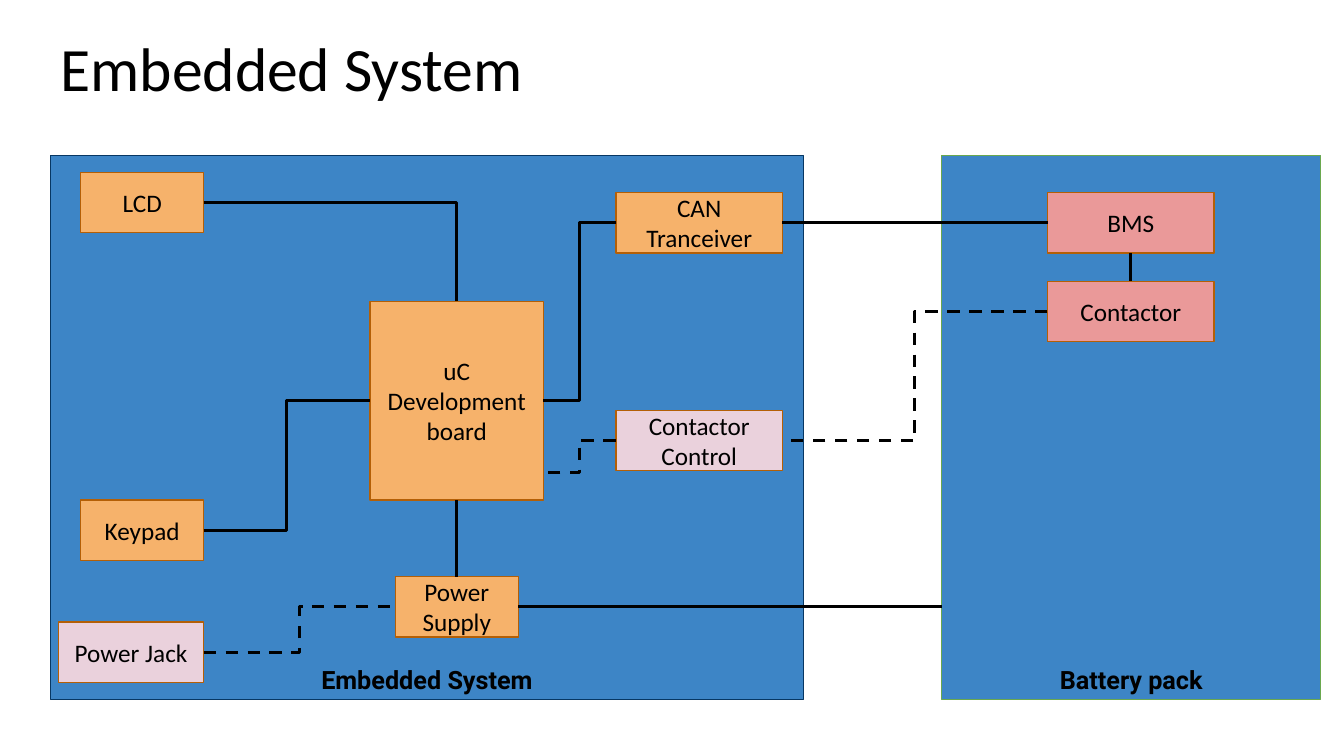
from pptx import Presentation
from pptx.dml.color import RGBColor
from pptx.enum.dml import MSO_LINE
from pptx.enum.shapes import MSO_CONNECTOR as CONN, MSO_SHAPE
from pptx.enum.text import MSO_ANCHOR as ANCHOR, MSO_AUTO_SIZE, PP_ALIGN as ALIGN
from pptx.oxml.ns import qn
from pptx.util import Inches, Pt
from lxml import etree

BLACK = RGBColor(0x00, 0x00, 0x00)
BLUE = RGBColor(0x3D, 0x85, 0xC6)
NAVY = RGBColor(0x07, 0x37, 0x63)
GREEN = RGBColor(0x6A, 0xA8, 0x4F)
ORANGE = RGBColor(0xF6, 0xB2, 0x6B)
BROWN = RGBColor(0xB4, 0x5F, 0x06)
RED = RGBColor(0xEA, 0x99, 0x99)
PINK = RGBColor(0xEA, 0xD1, 0xDC)

TOP, LEFT, BOTTOM, RIGHT = range(4)  # connection sites of a rectangle
BLOCK_H = 0.6
WIDE = 1.65
NARROW = 1.22


def add_box(slide, text, x, y, w, h, fill, line, anchor=ANCHOR.MIDDLE,
            font="Calibri", bold=False):
    sp = slide.shapes.add_shape(MSO_SHAPE.RECTANGLE, Inches(x), Inches(y),
                                Inches(w), Inches(h))
    sp.shadow.inherit = False
    sp.fill.solid()
    sp.fill.fore_color.rgb = fill
    sp.line.color.rgb = line
    sp.line.width = Pt(1)
    tf = sp.text_frame
    tf.word_wrap = True
    tf.vertical_anchor = anchor
    tf.text = text
    for p in tf.paragraphs:
        p.alignment = ALIGN.CENTER
        p.font.name = font
        p.font.size = Pt(18)
        p.font.bold = bold
        p.font.color.rgb = BLACK
    return sp


def add_panel(slide, text, x, y, w, h, line, blocks):
    """Draw a labelled panel and its blocks, placed from its top left corner."""
    add_box(slide, text, x, y, w, h, BLUE, line, ANCHOR.BOTTOM, "Roboto", True)
    return {label: add_box(slide, label, x + dx, y + dy, bw, bh, fill, BROWN)
            for label, dx, dy, bw, bh, fill in blocks}


def add_wire(slide, kind, start, end, dashed=False):
    """Join two ends, each a (shape, site) pair or an (x, y) point in inches."""
    cx = slide.shapes.add_connector(kind, 0, 0, 0, 0)
    if isinstance(start, tuple) and isinstance(start[0], float):
        cx.begin_x, cx.begin_y = map(Inches, start)
    else:
        cx.begin_connect(*start)
    if isinstance(end[0], float):
        cx.end_x, cx.end_y = map(Inches, end)
    else:
        cx.end_connect(*end)
    cx.line.color.rgb = BLACK
    cx.line.width = Pt(2.25)
    if dashed:
        cx.line.dash_style = MSO_LINE.DASH
    etree.SubElement(cx._element.spPr, qn("a:effectLst"))
    return cx


def add_title(slide, text, x, y, w, h):
    title = slide.shapes.title
    title.left, title.top, title.width, title.height = map(Inches, (x, y, w, h))
    tf = title.text_frame
    tf.text = text
    tf.auto_size = MSO_AUTO_SIZE.NONE
    tf.vertical_anchor = ANCHOR.MIDDLE
    p = tf.paragraphs[0]
    p.alignment = ALIGN.LEFT
    p.line_spacing = 0.9
    p.font.name = "Calibri"
    p.font.size = Pt(44)
    p.font.color.rgb = BLACK


def add_embedded_system(slide, x, y, w, h):
    b = add_panel(slide, "Embedded System", x, y, w, h, NAVY, [
        ("LCD", 0.3, 0.17, NARROW, BLOCK_H, ORANGE),
        ("Keypad", 0.3, 3.42, NARROW, BLOCK_H, ORANGE),
        ("Power Jack", 0.08, 4.63, 1.44, BLOCK_H, PINK),
        ("uC Development board", 3.17, 1.45, 1.72, 1.97, ORANGE),
        ("Power Supply", 3.42, 4.18, NARROW, BLOCK_H, ORANGE),
        ("CAN\nTranceiver", 5.61, 0.37, WIDE, BLOCK_H, ORANGE),
        ("Contactor\nControl", 5.61, 2.53, WIDE, BLOCK_H, PINK),
    ])
    board, supply = b["uC Development board"], b["Power Supply"]
    lcd_wire = add_wire(slide, CONN.ELBOW, (b["LCD"], RIGHT), (board, TOP))
    lcd_wire._element.spPr.find(qn("a:prstGeom")).set("prst", "bentConnector2")
    add_wire(slide, CONN.ELBOW, (b["Keypad"], RIGHT), (board, LEFT))
    add_wire(slide, CONN.ELBOW, (b["CAN\nTranceiver"], LEFT), (board, RIGHT))
    add_wire(slide, CONN.STRAIGHT, (supply, TOP), (board, BOTTOM))
    add_wire(slide, CONN.ELBOW, (b["Contactor\nControl"], LEFT),
             (x + 4.88, y + 3.15), dashed=True)
    add_wire(slide, CONN.ELBOW, (b["Power Jack"], RIGHT), (supply, LEFT), dashed=True)
    return b


def add_battery_pack(slide, x, y, w, h):
    b = add_panel(slide, "Battery pack", x, y, w, h, GREEN, [
        ("BMS", 1.05, 0.37, WIDE, BLOCK_H, RED),
        ("Contactor", 1.05, 1.25, WIDE, BLOCK_H, RED),
    ])
    add_wire(slide, CONN.STRAIGHT, (b["BMS"], BOTTOM), (b["Contactor"], TOP))
    return b


def main():
    prs = Presentation()
    prs.slide_width, prs.slide_height = Inches(13.33), Inches(7.5)
    slide = prs.slides.add_slide(prs.slide_layouts[5])
    add_title(slide, "Embedded System", 0.5, 0.28, 11.5, 0.86)

    panel_y, panel_h, pack_x = 1.54, 5.4, 9.34
    system = add_embedded_system(slide, 0.5, panel_y, 7.47, panel_h)
    pack = add_battery_pack(slide, pack_x, panel_y, 3.76, panel_h)

    add_wire(slide, CONN.STRAIGHT, (system["Power Supply"], RIGHT),
             (pack_x, panel_y + 4.48))
    add_wire(slide, CONN.STRAIGHT, (system["CAN\nTranceiver"], RIGHT),
             (pack["BMS"], LEFT))
    add_wire(slide, CONN.ELBOW, (pack["Contactor"], LEFT),
             (system["Contactor\nControl"], RIGHT), dashed=True)
    prs.save("out.pptx")


if __name__ == "__main__":
    main()
